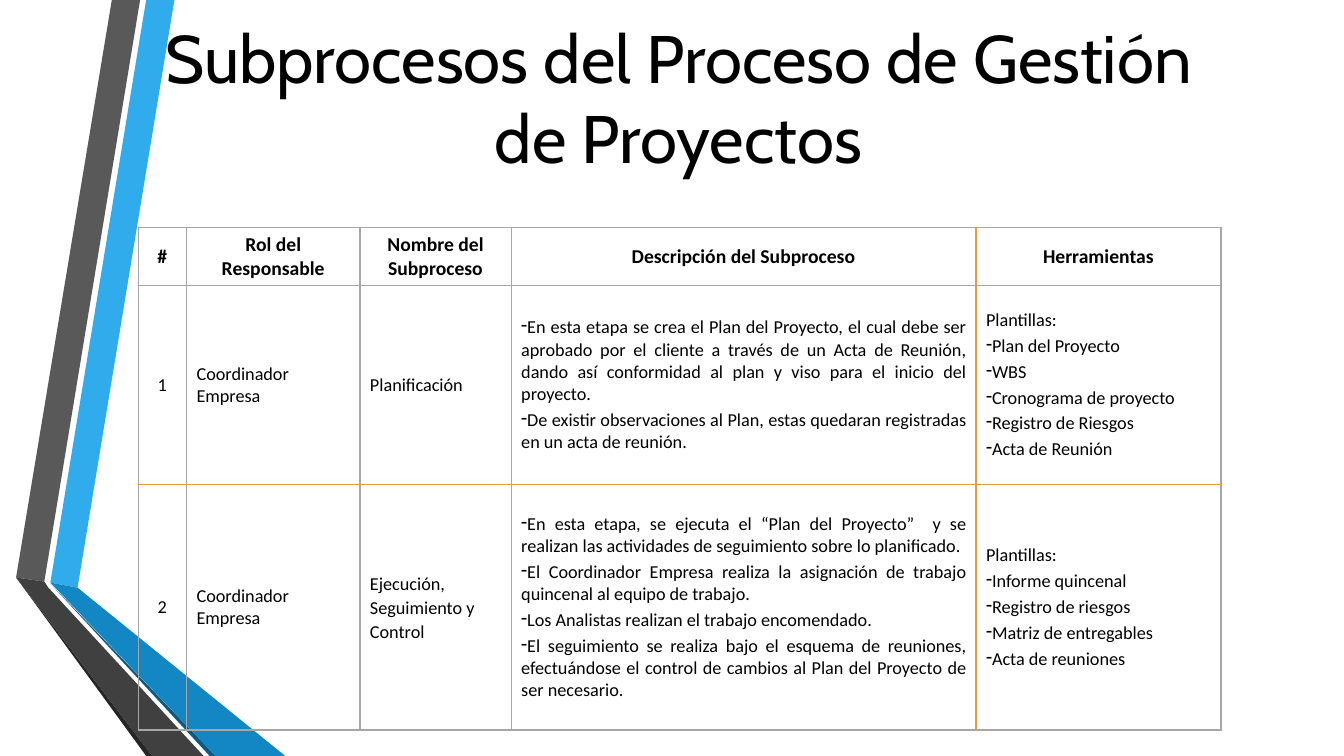
from lxml import etree
from pptx import Presentation
from pptx.dml.color import RGBColor
from pptx.enum.text import MSO_ANCHOR, MSO_AUTO_SIZE, PP_ALIGN
from pptx.oxml.ns import qn
from pptx.util import Inches, Pt

LEFT, CENTER, JUSTIFY = PP_ALIGN.LEFT, PP_ALIGN.CENTER, PP_ALIGN.JUSTIFY
MIDDLE = MSO_ANCHOR.MIDDLE
NO_AUTOFIT = MSO_AUTO_SIZE.NONE
BLACK, GRAY, ORANGE = "000000", "A6A6A6", "E29D3E"


def color(hex_text):
    return RGBColor.from_string(hex_text)


def add_span(para, text, font_name, size, bold=False):
    span = para.add_run()
    span.text = text
    span.font.name = font_name
    span.font.size = Pt(size)
    span.font.bold = bold
    span.font.color.rgb = color(BLACK)


deck = Presentation()
deck.slide_width, deck.slide_height = Inches(13.33), Inches(7.5)
page = deck.slides.add_slide(deck.slide_layouts[5])

# Ribbons at the left edge, in hundredths of an inch
ribbons = [
    ("30ACEC", [(50, 578), (77, 583), (173, 0), (145, 0)]),
    ("595959", [(139, 0), (111, 0), (16, 573), (44, 577)]),
    ("262626", [(16, 573), (145, 750), (151, 750)]),
    ("0C5A82", [(50, 579), (208, 750), (214, 750)]),
    ("1287C3", [(50, 578), (214, 750), (283, 750), (77, 583)]),
    ("404040", [(202, 750), (48, 583), (44, 577), (16, 573), (151, 750)]),
]
for fill, points in ribbons:
    builder = page.shapes.build_freeform(*points[0], scale=Inches(0.01))
    builder.add_line_segments(points[1:], close=True)
    ribbon = builder.convert_to_shape()
    ribbon.shadow.inherit = False
    ribbon.fill.solid()
    ribbon.fill.fore_color.rgb = color(fill)
    ribbon.line.fill.background()

# Title, in front of the ribbons
title = page.shapes.title
title.left, title.top = Inches(1.25), Inches(0)
title.width, title.height = Inches(10.96), Inches(1.92)
title.text_frame.auto_size = NO_AUTOFIT
title.text_frame.vertical_anchor = MIDDLE
para = title.text_frame.paragraphs[0]
para.alignment = CENTER
add_span(para, "Subprocesos del Proceso de Gestión de Proyectos", "Cabin", 48)
title.element.getparent().append(title.element)

# Table contents: one list of paragraphs per cell, a leading hyphen is a bullet
rows = [
    [["#"], ["Rol del Responsable"], ["Nombre del Subproceso"],
     ["Descripción del Subproceso"], ["Herramientas"]],
    [["1"], ["Coordinador Empresa"], ["Planificación"],
     ["-En esta etapa se crea el Plan del Proyecto, el cual debe ser aprobado "
      "por el cliente a través de un Acta de Reunión, dando así conformidad al "
      "plan y viso para el inicio del proyecto.",
      "-De existir observaciones al Plan, estas quedaran registradas en un acta "
      "de reunión."],
     ["Plantillas:", "-Plan del Proyecto", "-WBS", "-Cronograma de proyecto",
      "-Registro de Riesgos", "-Acta de Reunión"]],
    [["2"], ["Coordinador Empresa"], ["Ejecución, Seguimiento y Control"],
     ["-En esta etapa, se ejecuta el “Plan del Proyecto”  y se realizan las "
      "actividades de seguimiento sobre lo planificado.",
      "-El Coordinador Empresa realiza la asignación de trabajo quincenal al "
      "equipo de trabajo.",
      "-Los Analistas realizan el trabajo encomendado.",
      "-El seguimiento se realiza bajo el esquema de reuniones, efectuándose el "
      "control de cambios al Plan del Proyecto de ser necesario."],
     ["Plantillas:", "-Informe quincenal", "-Registro de riesgos",
      "-Matriz de entregables", "-Acta de reuniones"]],
]
column_widths = [0.48, 1.72, 1.5, 4.61, 2.43]
row_heights = [0.57, 1.97, 2.44]
alignments = [CENTER, LEFT, LEFT, JUSTIFY, LEFT]

# Grid lines that are orange, counted from the left and from the top
orange_columns, orange_rows = {3, 4}, {2}

frame = page.shapes.add_table(
    len(rows), len(column_widths), Inches(1.37), Inches(2.26),
    Inches(sum(column_widths)), Inches(sum(row_heights)))
table = frame.table
table.first_row = table.horz_banding = False
for column, width in zip(table.columns, column_widths):
    column.width = Inches(width)
for row, height in zip(table.rows, row_heights):
    row.height = Inches(height)

for r, row in enumerate(rows):
    for c, lines in enumerate(row):
        cell = table.cell(r, c)
        cell.vertical_anchor = MIDDLE

        # Borders, then an empty fill
        properties = cell._tc.get_or_add_tcPr()
        edges = [("a:lnL", c in orange_columns), ("a:lnR", c + 1 in orange_columns),
                 ("a:lnT", r in orange_rows), ("a:lnB", r + 1 in orange_rows)]
        for tag, is_orange in edges:
            edge = etree.SubElement(properties, qn(tag), w=str(Pt(1)))
            solid = etree.SubElement(edge, qn("a:solidFill"))
            etree.SubElement(solid, qn("a:srgbClr"), val=ORANGE if is_orange else GRAY)
        cell.fill.background()

        # Paragraphs
        for i, line in enumerate(lines):
            para = cell.text_frame.paragraphs[0] if i == 0 else cell.text_frame.add_paragraph()
            para.alignment = CENTER if r == 0 else alignments[c]
            if (r, c) == (2, 2):
                para.line_spacing = 1.1
            else:
                para.space_before = Pt(2.6)
            if line.startswith("-"):
                bullet_props = para._p.get_or_add_pPr()
                bullet_props.set("marL", "0")
                bullet_props.set("indent", "0")
                etree.SubElement(bullet_props, qn("a:buChar"), char="-")
            add_span(para, line.removeprefix("-"), "Calibri", 14 if r == 0 else 13, r == 0)

deck.save("out.pptx")
